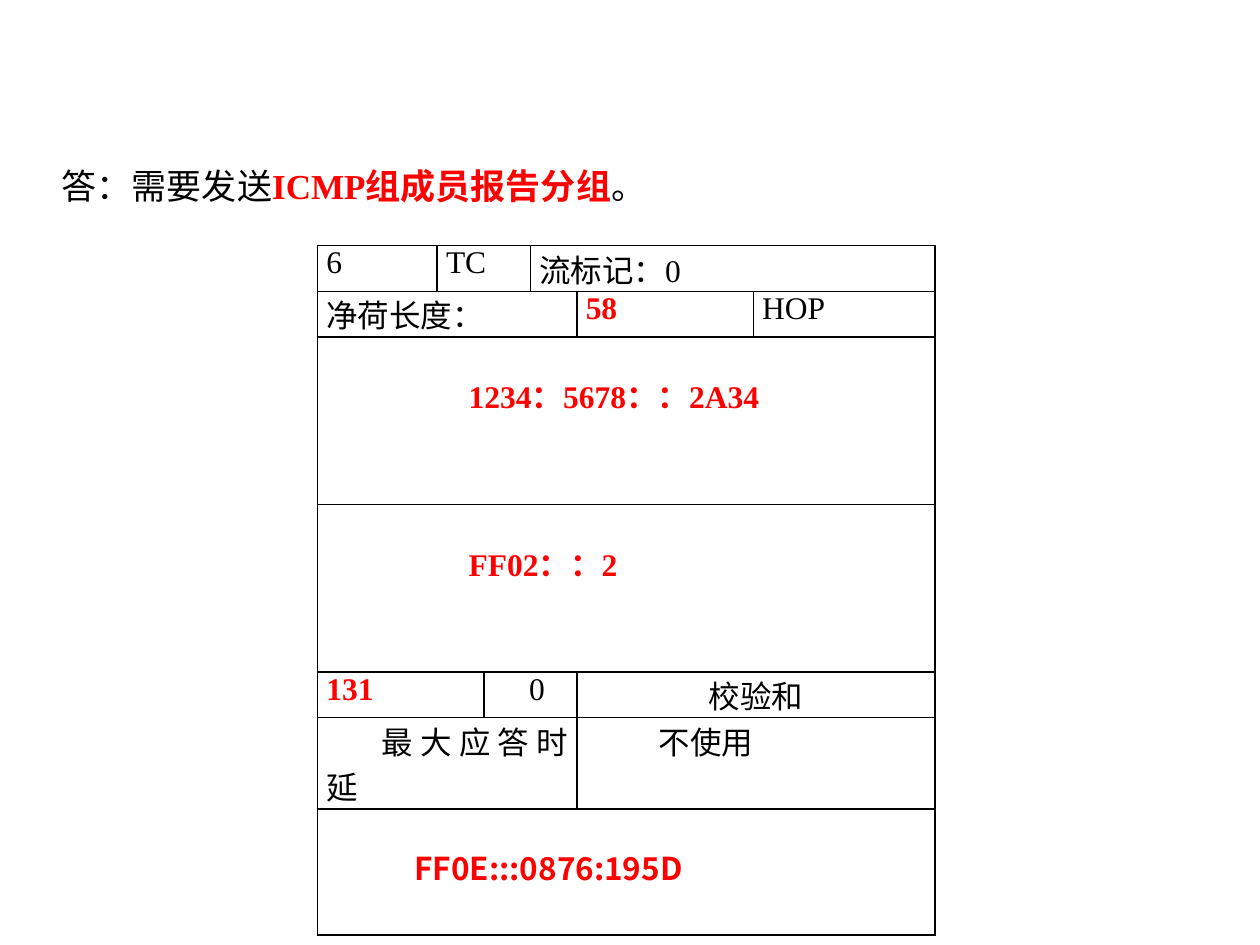
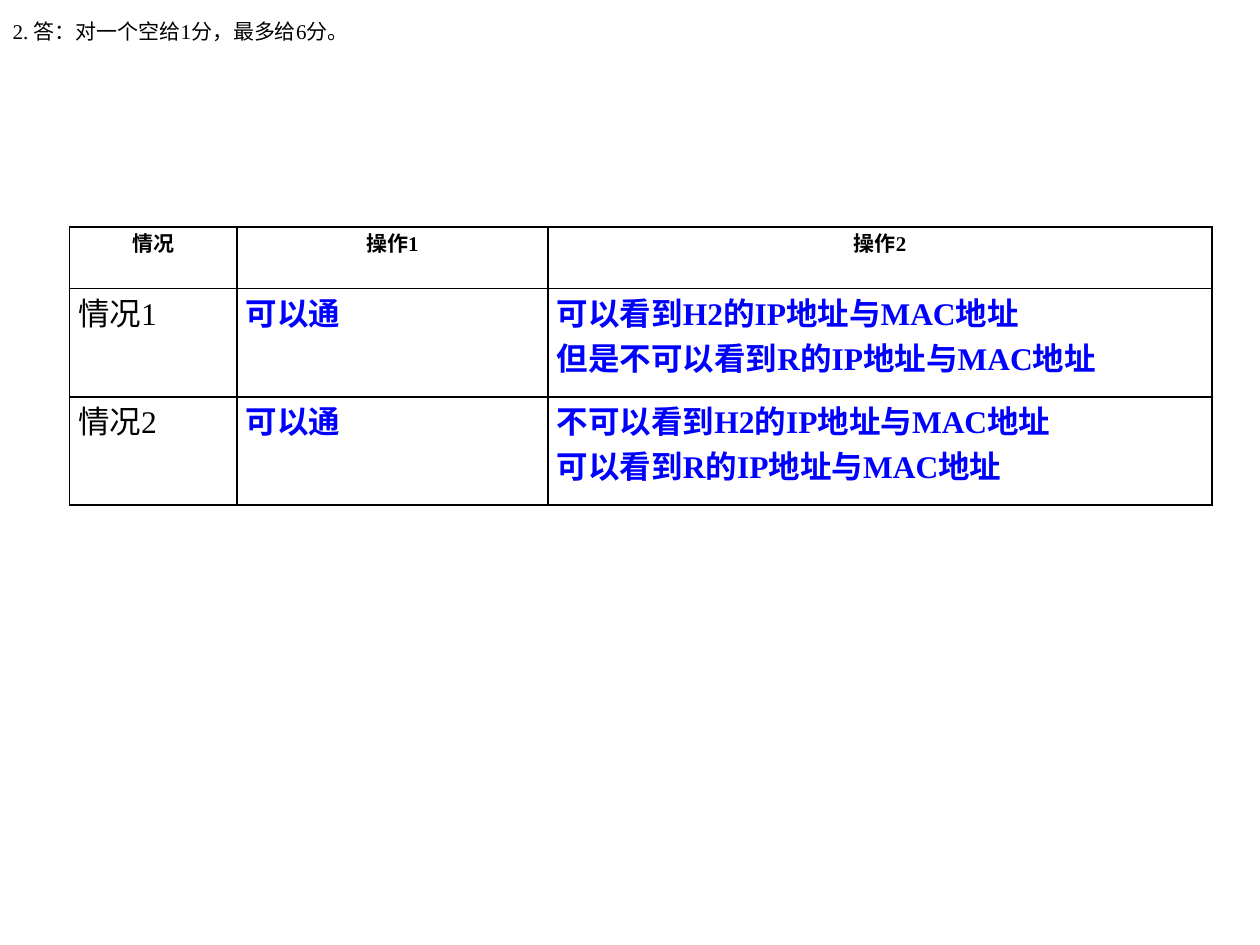
from lxml import etree
from pptx import Presentation
from pptx.dml.color import RGBColor
from pptx.enum.text import MSO_ANCHOR, MSO_AUTO_SIZE, PP_ALIGN
from pptx.oxml.ns import qn
from pptx.util import Inches, Pt

LEFT, CENTER, JUSTIFY = PP_ALIGN.LEFT, PP_ALIGN.CENTER, PP_ALIGN.JUSTIFY
MIDDLE, NO_FIT = MSO_ANCHOR.MIDDLE, MSO_AUTO_SIZE.NONE
SERIF, SANS = "Times New Roman", "Noto Sans CJK SC"
BLACK, RED, BLUE = "000000", "FF0000", "0000FF"
TITLE_ONLY = 5


def write(frame, text, size=18, color=BLACK, bold=False, font=SERIF,
          align=JUSTIFY, indent=0, accent=None):
    """Fill a text frame, one paragraph a line; parts between * are bold in the accent colour."""
    frame.word_wrap = True
    for number, line in enumerate(text.split("\n")):
        paragraph = frame.add_paragraph() if number else frame.paragraphs[0]
        paragraph.alignment = align
        properties = paragraph._p.get_or_add_pPr()
        properties.set("marL", "0")
        properties.set("indent", str(Inches(indent)))
        for position, part in enumerate(line.split("*")):
            marked = position % 2 == 1
            run = paragraph.add_run()
            run.text = part
            run.font.size = Pt(size)
            run.font.name = font
            run.font.bold = bold or marked
            run.font.color.rgb = RGBColor.from_string(accent if marked else color)
            east_asian = etree.SubElement(run._r.get_or_add_rPr(), qn("a:ea"))
            east_asian.set("typeface", SANS)


def add_grid(slide, left, top, widths, heights, rows):
    """Add a black-ruled table; each cell is (columns spanned, text, format)."""
    table = slide.shapes.add_table(
        len(heights), len(widths), Inches(left), Inches(top),
        Inches(sum(widths)), Inches(sum(heights))).table
    table.first_row = table.horz_banding = False
    for column, width in zip(table.columns, widths):
        column.width = Inches(width)
    for row, height in zip(table.rows, heights):
        row.height = Inches(height)
    for cell in table.iter_cells():
        cell.margin_left = cell.margin_right = Inches(0.07)
        cell.margin_top = cell.margin_bottom = 0
        for side in ("lnL", "lnR", "lnT", "lnB"):
            line = etree.SubElement(cell._tc.get_or_add_tcPr(), qn(f"a:{side}"), w=str(Pt(1)))
            fill = etree.SubElement(line, qn("a:solidFill"))
            etree.SubElement(fill, qn("a:srgbClr"), val=BLACK)
        cell.fill.background()
    for r, row in enumerate(rows):
        c = 0
        for span, text, style in row:
            cell = table.cell(r, c)
            if span > 1:
                cell.merge(table.cell(r, c + span - 1))
            style = dict(style)
            cell.margin_top = Inches(style.pop("drop", 0))
            write(cell.text_frame, text, **style)
            c += span


prs = Presentation()
prs.slide_width, prs.slide_height = Inches(10), Inches(7.5)

answers = [
    ("答：需要发送*ICMP组成员报告分组*。", 20, (0.39, 1.25, 4.84, 0.44)),
    ("2. 答：对一个空给1分，最多给6分。", 12, (0, 0, 10, 0.5)),
]
slides = []
for answer, size, box in answers:
    slide = prs.slides.add_slide(prs.slide_layouts[TITLE_ONLY])
    title = slide.shapes.title
    title.left, title.top, title.width, title.height = map(Inches, box)
    title.text_frame.auto_size = NO_FIT
    title.text_frame.vertical_anchor = MIDDLE
    write(title.text_frame, answer, size=size, align=LEFT, accent=RED)
    slides.append(slide)
packet_slide, cases_slide = slides

# Packet fields
key = {"color": RED, "bold": True}
address = {**key, "drop": 0.28, "indent": 1.13}
group = {**address, "indent": 0.7, "font": SANS}
packet_rows = [
    [(1, "6", {}), (2, "TC", {}), (3, "流标记：0", {})],
    [(4, "净荷长度：", {}), (1, "58", key), (1, "HOP", {})],
    [(6, "1234：5678：：2A34", address)],
    [(6, "FF02：：2", address)],
    [(2, "131", key), (2, "0", {"indent": 0.29}), (2, "校验和", {"align": CENTER})],
    [(4, "最大应答时延", {"indent": 0.44}), (2, "不使用", {"indent": 0.58})],
    [(6, "FF0E:::0876:195D", group)],
]
add_grid(packet_slide, 2.52, 1.95, [0.95, 0.37, 0.37, 0.37, 1.4, 1.44],
         [0.26, 0.26, 1.33, 1.33, 0.26, 0.52, 1], packet_rows)

# Results of the two operations in each case
header = {"size": 12, "bold": True, "align": CENTER}
result = {"color": BLUE, "bold": True}
case_rows = [[(1, heading, header) for heading in ("情况", "操作1", "操作2")]]
for case, visible in (
    ("情况1", "可以看到H2的IP地址与MAC地址\n但是不可以看到R的IP地址与MAC地址"),
    ("情况2", "不可以看到H2的IP地址与MAC地址\n可以看到R的IP地址与MAC地址"),
):
    case_rows.append([(1, case, {}), (1, "可以通", result), (1, visible, result)])
add_grid(cases_slide, 0.55, 1.8, [1.33, 2.47, 5.27], [0.49, 0.86, 0.86], case_rows)

prs.save("out.pptx")
